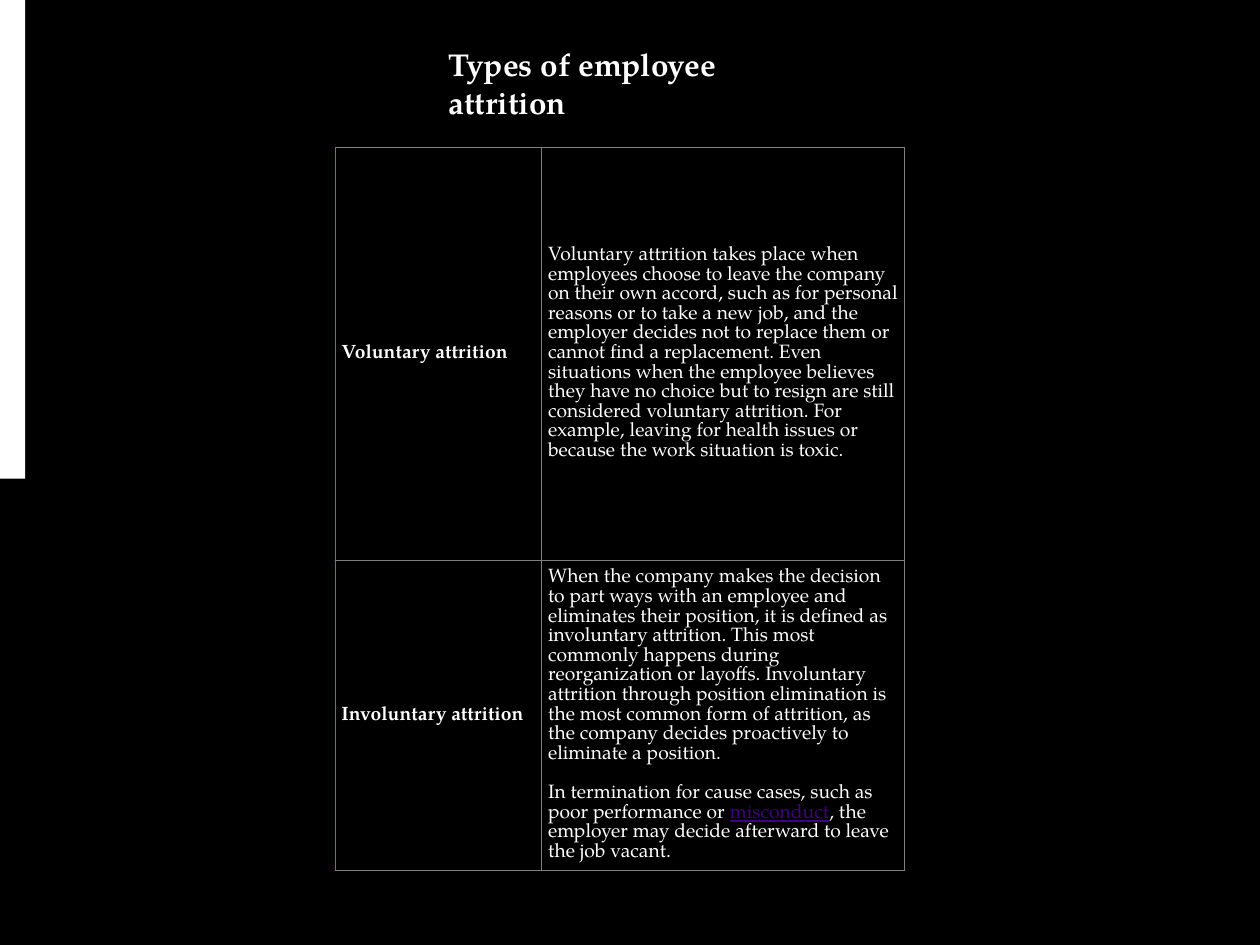
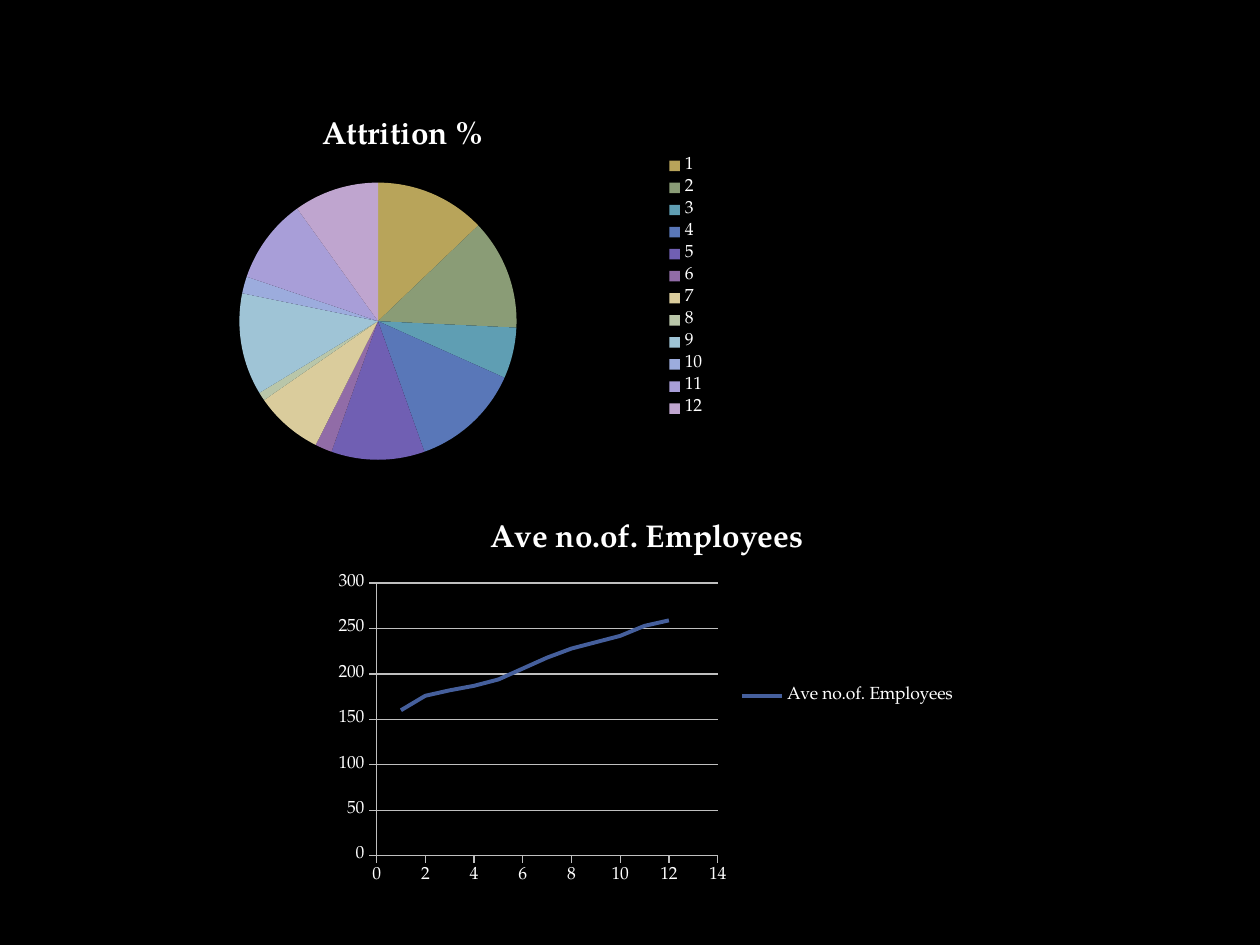
from dataclasses import dataclass

from lxml import etree
from pptx import Presentation
from pptx.chart.data import CategoryChartData, XyChartData
from pptx.dml.color import RGBColor
from pptx.enum.chart import XL_CHART_TYPE, XL_LEGEND_POSITION, XL_TICK_MARK
from pptx.enum.shapes import MSO_SHAPE
from pptx.enum.text import MSO_ANCHOR
from pptx.oxml import parse_xml
from pptx.oxml.ns import nsdecls, qn
from pptx.util import Inches, Pt

PIE = XL_CHART_TYPE.PIE
SCATTER = XL_CHART_TYPE.XY_SCATTER_LINES_NO_MARKERS
LEGEND_RIGHT = XL_LEGEND_POSITION.RIGHT
TICK_OUTSIDE = XL_TICK_MARK.OUTSIDE
RECTANGLE = MSO_SHAPE.RECTANGLE
MIDDLE = MSO_ANCHOR.MIDDLE


@dataclass
class Theme:
    font: str = "TeX Gyre Pagella"
    background: str = "000000"
    text: str = "FFFFFF"
    link: str = "410082"
    border: str = "808080"
    edge: str = "E81CED"
    grid: str = "BFBFBF"
    trend: str = "455F9C"
    slices: tuple = ("B8A45A", "8A9C76", "5F9EB3", "5977B8", "705FB3", "916CA7",
                     "DACC9C", "B9C6A9", "9FC4D6", "9CACDD", "A89ED8", "BFA5CF")
    title_size: float = 18
    body_size: float = 11
    chart_size: float = 10
    body_leading: float = 11.2


theme = Theme()


def style_font(font, size, bold=False, color=theme.text):
    font.name = theme.font
    font.size = Pt(size)
    font.bold = bold
    font.color.rgb = RGBColor.from_string(color)


def style_chart(chart, title, plot_box):
    """Give a chart its text, title and legend, and place its plot by fractions."""
    style_font(chart.font, theme.chart_size)
    chart.has_title = True
    chart.chart_title.text_frame.text = title
    chart.chart_title.include_in_layout = False
    style_font(chart.chart_title.text_frame.paragraphs[0].runs[0].font, theme.title_size, True)
    chart.has_legend = True
    chart.legend.position = LEGEND_RIGHT
    chart.legend.include_in_layout = False
    plot_area = chart.plots[0]._element.getparent()
    for old_layout in plot_area.findall(qn("c:layout")):
        plot_area.remove(old_layout)
    layout = parse_xml(f"<c:layout {nsdecls('c')}><c:manualLayout/></c:layout>")
    settings = [("layoutTarget", "inner"), ("xMode", "edge"), ("yMode", "edge")]
    for tag, value in settings + list(zip("xywh", plot_box)):
        etree.SubElement(layout[0], qn(f"c:{tag}")).set("val", str(value))
    plot_area.insert(0, layout)


prs = Presentation()
prs.slide_width, prs.slide_height = Inches(10), Inches(7.5)
types_slide, charts_slide = [prs.slides.add_slide(prs.slide_layouts[6]) for _ in range(2)]
for slide in (types_slide, charts_slide):
    slide.background.fill.solid()
    slide.background.fill.fore_color.rgb = RGBColor.from_string(theme.background)

# Slide 1: table of attrition types; each paragraph is a list of (text, is_link)
attrition_types = [
    ("Voluntary attrition", [
        [("Voluntary attrition takes place when employees choose to leave the company on "
          "their own accord, such as for personal reasons or to take a new job, and the "
          "employer decides not to replace them or cannot find a replacement. Even "
          "situations when the employee believes they have no choice but to resign are "
          "still considered voluntary attrition. For example, leaving for health issues "
          "or because the work situation is toxic.", False)],
    ]),
    ("Involuntary attrition", [
        [("When the company makes the decision to part ways with an employee and "
          "eliminates their position, it is defined as involuntary attrition. This most "
          "commonly happens during reorganization or layoffs. Involuntary attrition "
          "through position elimination is the most common form of attrition, as the "
          "company decides proactively to eliminate a position.", False)],
        [("In termination for cause cases, such as poor performance or ", False),
         ("misconduct", True),
         (", the employer may decide afterward to leave the job vacant.", False)],
    ]),
]
column_widths = (1.64, 2.88)
row_heights = (3.28, 2.46)
types_table = types_slide.shapes.add_table(
    2, 2, Inches(2.66), Inches(1.17), Inches(sum(column_widths)), Inches(sum(row_heights))).table
types_table.first_row = types_table.horz_banding = False
for column, width in zip(types_table.columns, column_widths):
    column.width = Inches(width)

for row, (name, description) in enumerate(attrition_types):
    types_table.rows[row].height = Inches(row_heights[row])
    for col, paragraphs in enumerate(([[(name, False)]], description)):
        cell = types_table.cell(row, col)
        cell.vertical_anchor = MIDDLE
        cell.margin_left = cell.margin_right = Inches(0.05)
        cell.margin_top = cell.margin_bottom = Inches(0.03)
        for index, pieces in enumerate(paragraphs):
            paragraph = cell.text_frame.add_paragraph() if index else cell.text_frame.paragraphs[0]
            paragraph.line_spacing = Pt(theme.body_leading)
            paragraph.space_before = Pt(theme.body_leading if index else 0)
            for text, is_link in pieces:
                run = paragraph.add_run()
                run.text = text
                style_font(run.font, theme.body_size, col == 0,
                           theme.link if is_link else theme.text)
                run.font.underline = is_link
        for side in "LRTB":
            color = theme.edge if side == "L" and col == 0 else theme.border
            cell._tc.get_or_add_tcPr().append(parse_xml(
                f'<a:ln{side} {nsdecls("a")} w="{Pt(0.75)}"><a:solidFill>'
                f'<a:srgbClr val="{color}"/></a:solidFill></a:ln{side}>'))
        cell.fill.background()

# Slide 1: white side band and title
side_band = types_slide.shapes.add_shape(RECTANGLE, 0, 0, Inches(0.2), Inches(3.8))
side_band.shadow.inherit = False
side_band.fill.solid()
side_band.fill.fore_color.rgb = RGBColor.from_string(theme.text)
side_band.line.fill.background()

heading = types_slide.shapes.add_textbox(Inches(3.46), Inches(0.31), Inches(3.08), Inches(0.4))
heading.text_frame.word_wrap = True
heading.text_frame.text = "Types of employee attrition"
style_font(heading.text_frame.paragraphs[0].runs[0].font, theme.title_size, True)

# Slide 2: attrition share by month
months = range(1, 13)
attrition_data = CategoryChartData()
attrition_data.categories = [str(month) for month in months]
attrition_data.add_series("Attrition %", (13, 13, 6, 13, 11, 2, 8, 1, 12, 2, 10, 10))
attrition_chart = charts_slide.shapes.add_chart(
    PIE, Inches(0.7), Inches(0.78), Inches(5), Inches(3), attrition_data).chart
style_chart(attrition_chart, "Attrition %", (0.24, 0.22, 0.44, 0.74))
attrition_plot = attrition_chart.plots[0]
attrition_plot.vary_by_categories = True
for index, color in enumerate(theme.slices):
    slice_fill = attrition_plot.series[0].points[index].format.fill
    slice_fill.solid()
    slice_fill.fore_color.rgb = RGBColor.from_string(color)

# Slide 2: average number of employees by month
headcounts = (160, 176, 182, 187, 194, 206, 218, 228, 235, 242, 253, 259)
headcount_data = XyChartData()
headcount_series = headcount_data.add_series("Ave no.of. Employees")
for month, headcount in zip(months, headcounts):
    headcount_series.add_data_point(month, headcount)
headcount_chart = charts_slide.shapes.add_chart(
    SCATTER, Inches(2.58), Inches(3.98), Inches(5.11), Inches(3.09), headcount_data).chart
style_chart(headcount_chart, "Ave no.of. Employees", (0.08, 0.21, 0.53, 0.7))
headcount_chart.plots[0].vary_by_categories = False
trend = headcount_chart.plots[0].series[0]
trend.smooth = False
trend.format.line.width = Pt(2.25)
trend.format.line.color.rgb = RGBColor.from_string(theme.trend)

month_axis, headcount_axis = headcount_chart.category_axis, headcount_chart.value_axis
month_axis.has_major_gridlines = False
headcount_axis.has_major_gridlines = True
for axis, maximum, step in ((month_axis, 14, 2), (headcount_axis, 300, 50)):
    axis.minimum_scale, axis.maximum_scale, axis.major_unit = 0, maximum, step
    axis.major_tick_mark = TICK_OUTSIDE
for line in (month_axis.format.line, headcount_axis.format.line,
             headcount_axis.major_gridlines.format.line):
    line.width = Pt(0.75)
    line.color.rgb = RGBColor.from_string(theme.grid)

prs.save("out.pptx")
